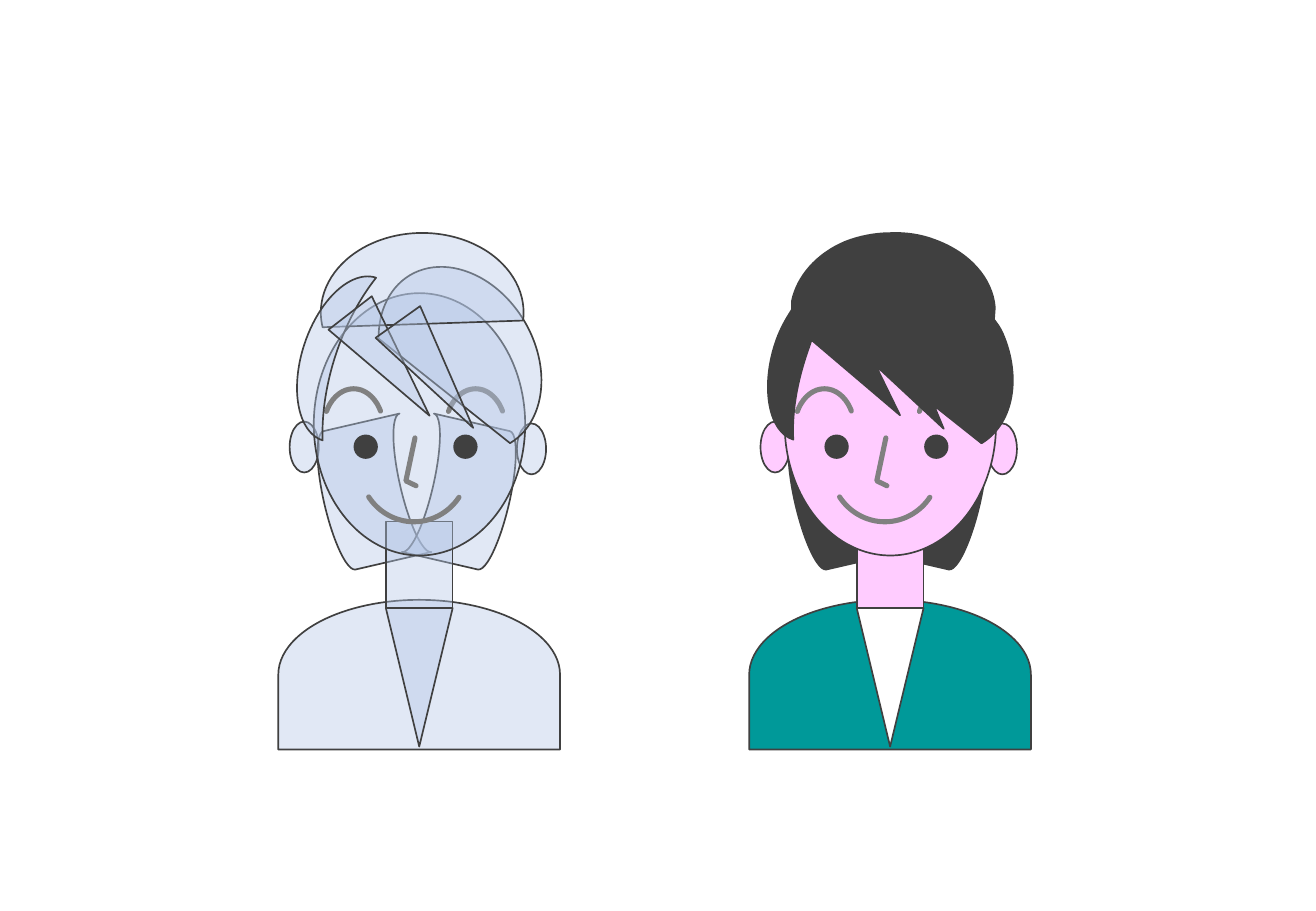
from lxml import etree
from pptx import Presentation
from pptx.dml.color import RGBColor
from pptx.enum import shapes
from pptx.oxml import ns
from pptx.util import Pt

DARK = RGBColor(0x40, 0x40, 0x40)
GREY = RGBColor(0x80, 0x80, 0x80)
SKIN = RGBColor(0xFF, 0xCC, 0xFF)
TEAL = RGBColor(0x00, 0x99, 0x99)
WHITE = RGBColor(0xFF, 0xFF, 0xFF)
WASH = RGBColor(0xB4, 0xC7, 0xE7)
KIND = shapes.MSO_SHAPE
FIGURE_GAP = 279.1


def paint(shape, fill, line, width):
    shape.shadow.inherit = False
    if fill is None:
        shape.fill.background()
    else:
        shape.fill.solid()
        shape.fill.fore_color.rgb = fill
    if fill == WASH:
        color = shape.fill._xPr.find(".//" + ns.qn("a:srgbClr"))
        etree.SubElement(color, ns.qn("a:alpha"), val="40000")
    if line is None:
        shape.line.fill.background()
        return
    shape.line.color.rgb = line
    shape.line.width = Pt(width)
    if line == GREY:
        outline = shape.line._get_or_add_ln()
        outline.set("cap", "rnd")
        etree.SubElement(outline, ns.qn("a:round"))


def add_part(group, offset, part, fill, line, width):
    kind, left, top, wide, high, rotation, flips, adjustments = part
    shape = group.shapes.add_shape(kind, Pt(left + offset), Pt(top), Pt(wide), Pt(high))
    shape.rotation = rotation
    for axis in flips:
        shape._element.spPr.get_or_add_xfrm().set("flip" + axis, "1")
    for index, value in enumerate(adjustments):
        shape.adjustments[index] = value
    paint(shape, fill, line, width)


BODY = [
    (TEAL, (KIND.FLOWCHART_DELAY, 204.1, 316.4, 88.7, 167, 270, "", [])),
    (SKIN, (KIND.OVAL, 171.7, 249.9, 17.3, 30.2, 0, "", [])),
    (SKIN, (KIND.OVAL, 306.4, 251, 17.3, 30.2, 0, "", [])),
    (DARK, (KIND.FLOWCHART_STORED_DATA, 191.6, 250.3, 55.4, 84.2, 347, "", [])),
    (DARK, (KIND.FLOWCHART_STORED_DATA, 247, 250.3, 55.4, 84.2, 13, "H", [])),
    (SKIN, (KIND.RECTANGLE, 222.9, 315, 51.1, 39.5, 90, "", [])),
    (SKIN, (KIND.OVAL, 186, 173.8, 125.3, 155.5, 0, "", [])),
]
EYES = [(KIND.OVAL, left, 257.6, 14.4, 14.4, 0, "", []) for left in (209.6, 268.7)]
COLLAR = (KIND.ISOSCELES_TRIANGLE, 228.7, 360.5, 39.6, 82.1, 0, "V", [])
MOUTH = (KIND.ARC, 213, 242.3, 64.8, 67, 0, "", [21.274, 87.013])
BROWS = [
    (KIND.ARC, left, 230.4, 35.3, 46.1, 180, "", [18.54, 88.979])
    for left in (191.9, 264.2)
]
NOSE = [(246, 259.6), (240.6, 285.1), (246.6, 288)]
HAIR_PIECES = [
    (KIND.CHORD, 228.4, 155, 88.6, 115.9, 329.2, "HV", []),
    (KIND.CHORD, 190.2, 138.1, 120.2, 94.3, 0, "", [102.948, 2.746]),
    (KIND.MOON, 179.7, 157.7, 28.1, 101.5, 18.2, "", [0.698]),
    (KIND.ISOSCELES_TRIANGLE, 214.9, 177.5, 32.4, 77, 322.3, "HV", []),
    (KIND.ISOSCELES_TRIANGLE, 242, 183.8, 32.4, 77, 324.6, "HV", []),
]
HAIR_BOX = (455, 138.2, 145.4, 124.6)
HAIR_START = (527.8, 138.2)
HAIR_SEGMENTS = [
    [(536.4, 137.8), (545.8, 139), (554.4, 142.4)],
    [(574.6, 149.8), (588.2, 164.9), (589.7, 182.2)],
    [(589.2, 189.4)],
    [(591.8, 193)],
    [(593.3, 195.3), (594.5, 197.8), (595.4, 200.2)],
    [(605.5, 226.1), (599.8, 252), (581.8, 262.8)],
    [(553.7, 240.5)],
    [(559.4, 254.2)],
    [(519.1, 216.7)],
    [(533.5, 246.2)],
    [(481, 201.6)],
    [(478.1, 210.2)],
    [(472.3, 227.5), (469.4, 244.8), (470.2, 260.6)],
    [(455.8, 256.3), (450.7, 230.4), (459.4, 203.8)],
    [(461.5, 197.3), (464.4, 191.5), (468, 185.8)],
    [(469.4, 183.6)],
    [(469.4, 178.6)],
    [(472.3, 164.2), (483.8, 150.5), (501.1, 143.3)],
    [(509, 140.2), (518.4, 138.2), HAIR_START],
]

presentation = Presentation()
presentation.slide_width = Pt(780)
presentation.slide_height = Pt(540)
slide = presentation.slides.add_slide(presentation.slide_layouts[6])

for offset, colored in ((FIGURE_GAP, True), (0, False)):
    group = slide.shapes.add_group_shape()
    for color, part in BODY:
        add_part(group, offset, part, color if colored else WASH, DARK, 1)
    for eye in EYES:
        add_part(group, offset, eye, DARK, None, 0)
    for stroke in (MOUTH, BROWS[0]):
        add_part(group, offset, stroke, None, GREY, 3)
    nose_points = [(Pt(x + offset), Pt(y)) for x, y in NOSE]
    builder = group.shapes.build_freeform(*nose_points[0])
    builder.add_line_segments(nose_points[1:], close=False)
    paint(builder.convert_to_shape(), None, GREY, 3)
    add_part(group, offset, BROWS[1], None, GREY, 3)

    if colored:
        left, top, wide, high = HAIR_BOX
        builder = group.shapes.build_freeform(Pt(left), Pt(top))
        builder.add_line_segments([(Pt(left + wide), Pt(top + high))], close=True)
        hair = builder.convert_to_shape()
        outline = hair._element.find(".//" + ns.qn("a:pathLst"))[0]
        for command in list(outline):
            outline.remove(command)
        for index, points in enumerate([[HAIR_START]] + HAIR_SEGMENTS):
            tag = "a:cubicBezTo" if len(points) == 3 else "a:lnTo"
            command = etree.SubElement(outline, ns.qn(tag if index else "a:moveTo"))
            for x, y in points:
                etree.SubElement(
                    command, ns.qn("a:pt"), x=str(int(Pt(x - left))), y=str(int(Pt(y - top)))
                )
        etree.SubElement(outline, ns.qn("a:close"))
        paint(hair, DARK, DARK, 1)

    add_part(group, offset, COLLAR, WHITE if colored else WASH, DARK, 1)
    if not colored:
        for piece in HAIR_PIECES:
            add_part(group, offset, piece, WASH, DARK, 1)

presentation.save("out.pptx")
